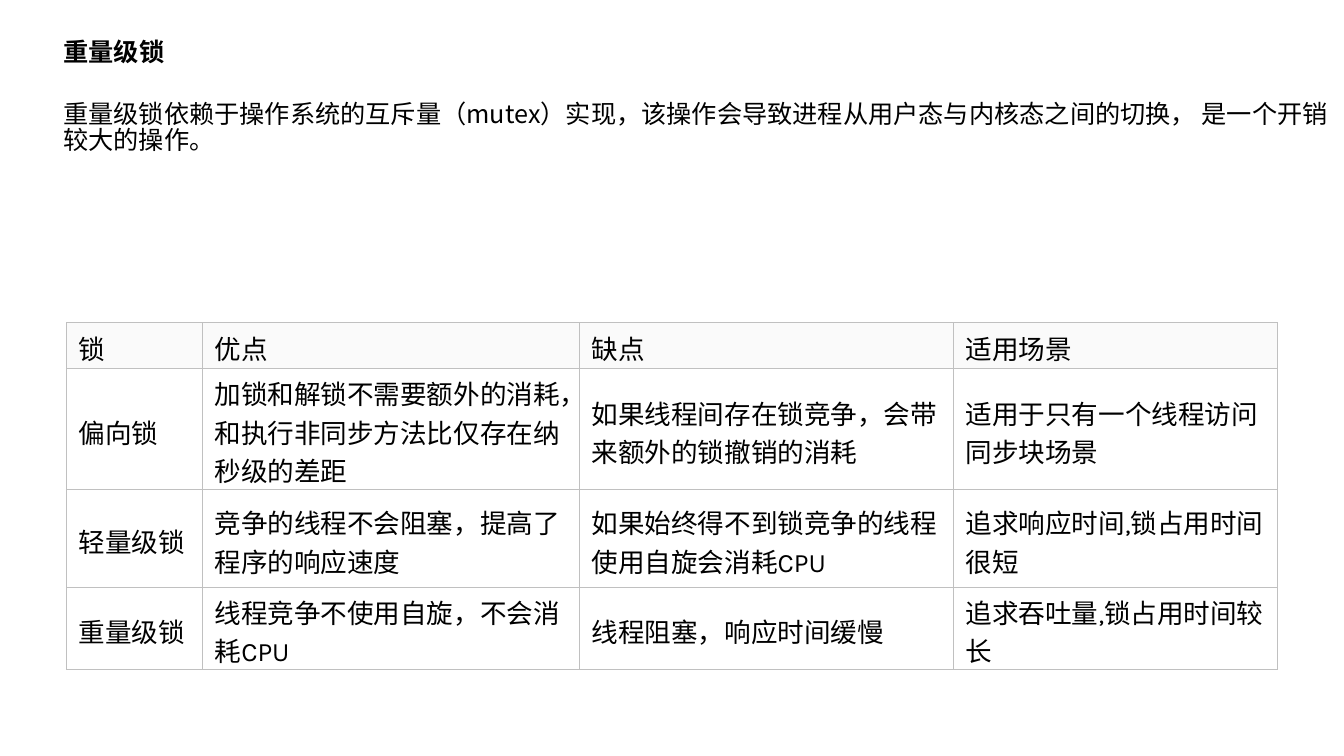
from lxml import etree
from pptx import Presentation
from pptx.dml.color import RGBColor
from pptx.enum import text
from pptx.oxml import ns
from pptx.util import Inches, Pt

BLACK = RGBColor(0x00, 0x00, 0x00)
WHITE = RGBColor(0xFF, 0xFF, 0xFF)
HEADER = RGBColor(0xFA, 0xFA, 0xFA)
BORDER = RGBColor(0xC0, 0xC0, 0xC0)
KARLA, NOTO = "Karla", "Noto Sans CJK SC"

COLS = [1.35, 3.74, 3.71, 3.21]
ROWS = [0.46, 1.2, 0.97, 0.81]
LOCKS = [
    ["锁", "优点", "缺点", "适用场景"],
    ["偏向锁", "加锁和解锁不需要额外的消耗，和执行非同步方法比仅存在纳秒级的差距",
     "如果线程间存在锁竞争，会带来额外的锁撤销的消耗", "适用于只有一个线程访问同步块场景"],
    ["轻量级锁", "竞争的线程不会阻塞，提高了程序的响应速度",
     "如果始终得不到锁竞争的线程使用自旋会消耗CPU", "追求响应时间,锁占用时间很短"],
    ["重量级锁", "线程竞争不使用自旋，不会消耗CPU",
     "线程阻塞，响应时间缓慢", "追求吞吐量,锁占用时间较长"],
]


def write(tf, words, size=18, font=KARLA, bold=False, spacing=None):
    p = tf.paragraphs[0]
    p.alignment = text.PP_ALIGN.LEFT
    p.line_spacing = spacing
    r = p.add_run()
    r.text = words
    r.font.size, r.font.bold, r.font.name = Pt(size), bold, font
    r.font.color.rgb = BLACK
    # East Asian glyphs need their own typeface entry
    ea = etree.Element(ns.qn("a:ea"), typeface=NOTO)
    r.font._element.find(ns.qn("a:latin")).addnext(ea)


def fit(tf):
    tf.word_wrap = True
    tf.auto_size = text.MSO_AUTO_SIZE.SHAPE_TO_FIT_TEXT
    tf.vertical_anchor = text.MSO_ANCHOR.TOP


def add_title(s, left, top, width, height):
    sp = s.shapes.title
    sp.left, sp.top, sp.width, sp.height = map(Inches, (left, top, width, height))
    fit(sp.text_frame)
    write(sp.text_frame, "重量级锁", bold=True, spacing=0.85)


def add_body(s, left, top, width, height):
    sp = s.shapes.add_textbox(*map(Inches, (left, top, width, height)))
    fit(sp.text_frame)
    write(sp.text_frame, "重量级锁依赖于操作系统的互斥量（mutex）实现，该操作会导致进程"
          "从用户态与内核态之间的切换， 是一个开销较大的操作。", font=NOTO, spacing=0.85)


def add_borders(cell):
    tc_pr = cell._tc.get_or_add_tcPr()
    for side in ("lnL", "lnR", "lnT", "lnB"):
        ln = etree.SubElement(tc_pr, ns.qn(f"a:{side}"), w=str(Pt(0.75)))
        fill = etree.SubElement(ln, ns.qn("a:solidFill"))
        etree.SubElement(fill, ns.qn("a:srgbClr"), val=str(BORDER))


def add_lock_table(s, left, top):
    frame = s.shapes.add_table(len(ROWS), len(COLS), Inches(left), Inches(top),
                               Inches(sum(COLS)), Inches(sum(ROWS)))
    table = frame.table
    for col, width in zip(table.columns, COLS):
        col.width = Inches(width)
    for i, (row, height) in enumerate(zip(table.rows, ROWS)):
        row.height = Inches(height)
        for cell, words in zip(row.cells, LOCKS[i]):
            add_borders(cell)
            cell.fill.solid()
            cell.fill.fore_color.rgb = WHITE if i else HEADER
            cell.vertical_anchor = text.MSO_ANCHOR.MIDDLE
            cell.margin_left = cell.margin_right = Inches(0.12)
            # Tight vertical margins keep the row heights fixed
            cell.margin_top, cell.margin_bottom = Inches(0.05), 0
            write(cell.text_frame, words, size=19)


def main():
    prs = Presentation()
    prs.slide_width, prs.slide_height = Inches(13.33), Inches(7.5)
    s = prs.slides.add_slide(prs.slide_layouts[5])
    # Heading and explanation
    add_title(s, 0.53, 0.36, 3.59, 0.4)
    add_body(s, 0.53, 0.97, 12.8, 0.71)
    # Comparison of the lock types
    add_lock_table(s, 0.66, 3.2)
    prs.save("out.pptx")


if __name__ == "__main__":
    main()
